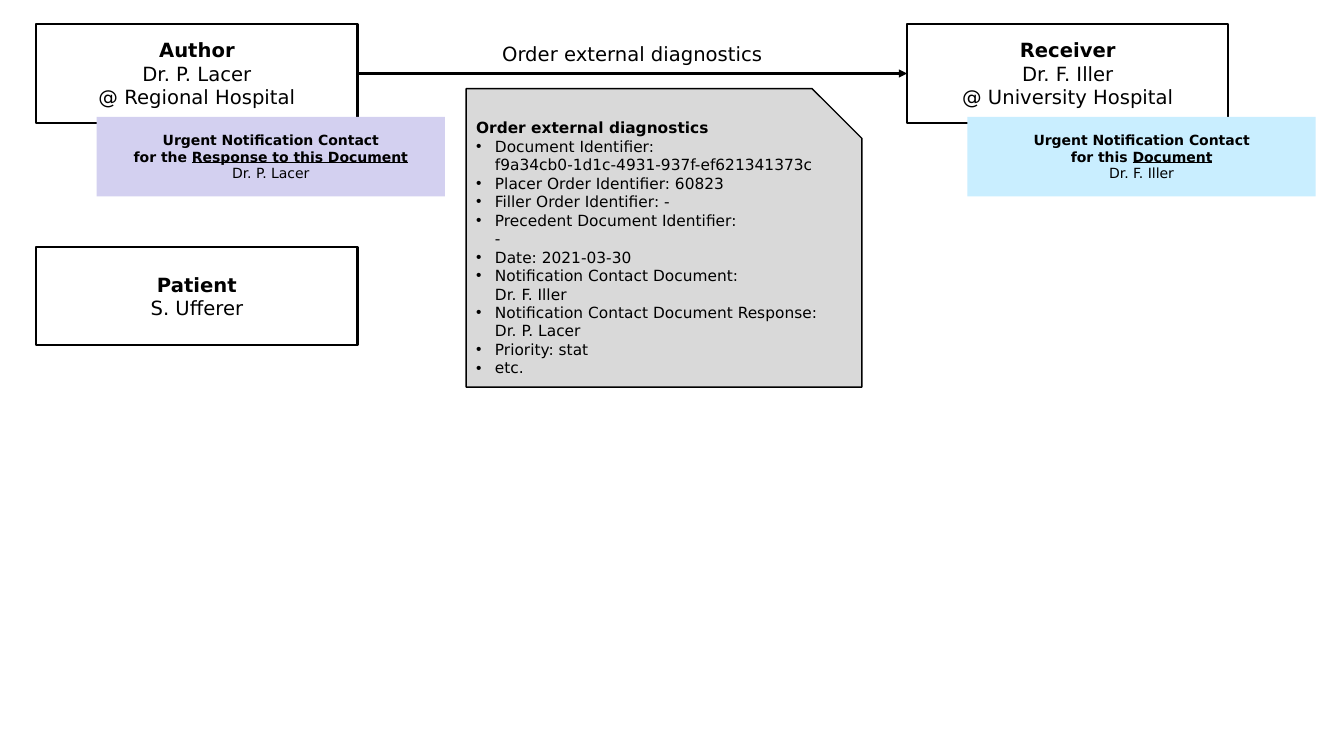
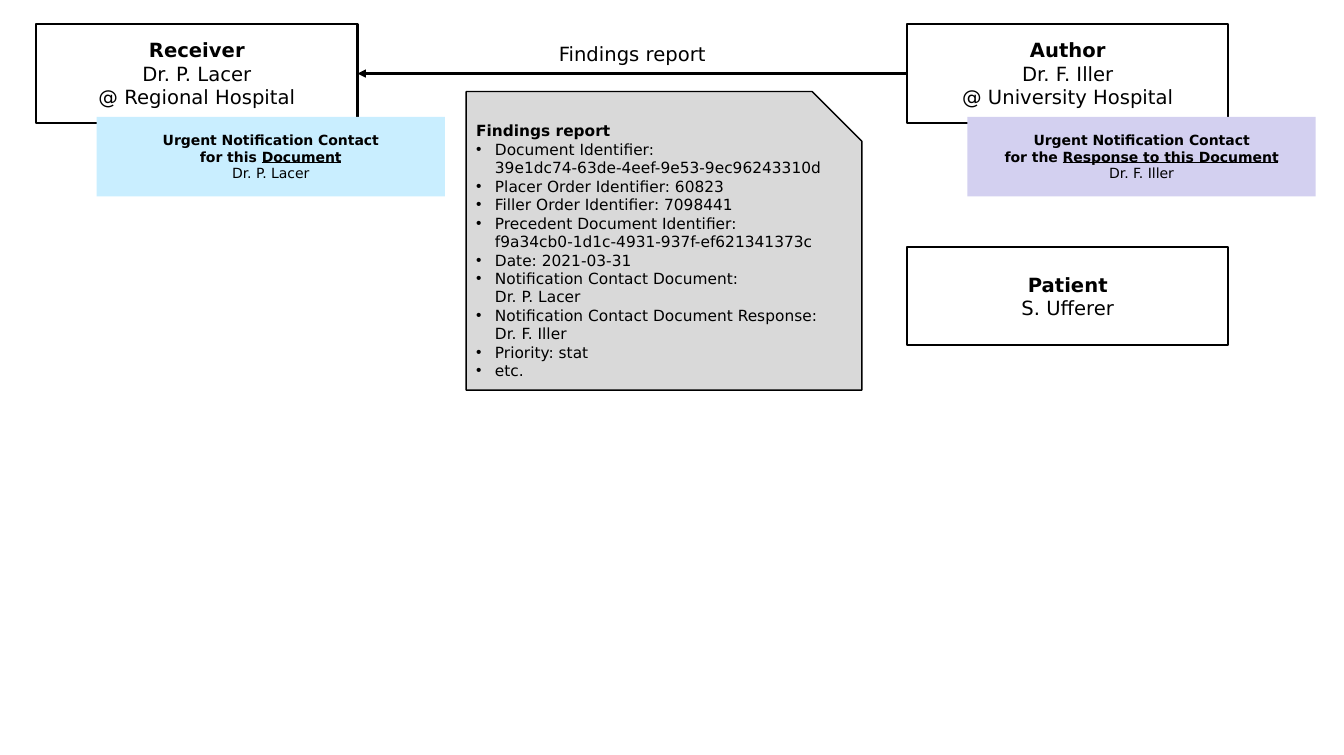
from pptx import Presentation
from pptx.dml.color import RGBColor
from pptx.enum.shapes import MSO_CONNECTOR as Link, MSO_SHAPE as Kind
from pptx.enum.text import MSO_ANCHOR as Anchor, MSO_AUTO_SIZE as Fit, PP_ALIGN as Align
from pptx.oxml.ns import qn
from pptx.util import Pt
from lxml.etree import SubElement as Sub

BLACK = RGBColor(0x00, 0x00, 0x00)
GREY = RGBColor(0xD9, 0xD9, 0xD9)
BLUE = RGBColor(0xC9, 0xEE, 0xFF)
LILAC = RGBColor(0xD3, 0xD0, 0xF0)
FONT = "DejaVu Sans"

LEFT, STEP = 26, 622.8
TOP, WIDE, HIGH = 17.3, 229.7, 70.6
MID = TOP + HIGH / 2

PEOPLE = [("Dr. P. Lacer", "@ Regional Hospital"),
          ("Dr. F. Iller", "@ University Hospital")]

# title, sending side, card top, document id, filler id, precedent id, date
ORDERS = [
    ("Order external diagnostics", 0, 63.4, "f9a34cb0-1d1c-4931-937f-ef621341373c",
     "-", "-", "2021-03-30"),
    ("Findings report", 1, 65.5, "39e1dc74-63de-4eef-9e53-9ec96243310d",
     "7098441", "f9a34cb0-1d1c-4931-937f-ef621341373c", "2021-03-31"),
]


def write(frame, lines, size, align):
    """Each line is a list of (text, marks) runs: b bold, u underlined, * bulleted."""
    frame.word_wrap = True
    for n, line in enumerate(lines):
        para = frame.paragraphs[0] if n == 0 else frame.add_paragraph()
        para.alignment = align
        for text, marks in line:
            if "*" in marks:
                props = para._p.get_or_add_pPr()
                props.set("marL", str(Pt(13.5)))
                props.set("indent", str(Pt(-13.5)))
                Sub(props, qn("a:buFont")).set("typeface", "Arial")
                Sub(props, qn("a:buChar")).set("char", "•")
            for k, part in enumerate(text.split("\n")):
                if k:
                    para.add_line_break()
                run = para.add_run()
                run.text = part
                font = run.font
                font.name, font.size = FONT, Pt(size)
                font.bold, font.underline = "b" in marks, "u" in marks
                font.color.rgb = BLACK


def block(slide, kind, rect, fill, edge, lines, size, align=Align.CENTER, anchor=Anchor.MIDDLE):
    shape = slide.shapes.add_shape(kind, *map(Pt, rect))
    shape.shadow.inherit = False
    if fill is None:
        shape.fill.background()
    else:
        shape.fill.solid()
        shape.fill.fore_color.rgb = fill
    if edge:
        shape.line.color.rgb = BLACK
        shape.line.width = Pt(edge)
    else:
        shape.line.fill.background()
    shape.text_frame.vertical_anchor = anchor
    write(shape.text_frame, lines, size, align)


deck = Presentation()
deck.slide_width, deck.slide_height = Pt(961.2), Pt(540)

for title, side, top, ident, filler, prior, date in ORDERS:
    slide = deck.slides.add_slide(deck.slide_layouts[6])
    sender, target = PEOPLE[side][0], PEOPLE[1 - side][0]

    # Parties and patient
    for n, (name, place) in enumerate(PEOPLE):
        role = "Author" if n == side else "Receiver"
        block(slide, Kind.RECTANGLE, (LEFT + n * STEP, TOP, WIDE, HIGH), None, 1.5,
              [[(role, "b")], [(name, "")], [(place, "")]], 14)
    block(slide, Kind.RECTANGLE, (LEFT + side * STEP, 176.4, WIDE, HIGH), None, 1.5,
          [[("Patient", "b")], [("S. Ufferer", "")]], 14)

    # Arrow from sender to target, with its label
    ends = [LEFT + WIDE, LEFT + STEP]
    arrow = slide.shapes.add_connector(
        Link.STRAIGHT, Pt(ends[side]), Pt(MID), Pt(ends[1 - side]), Pt(MID))
    arrow.line.color.rgb = BLACK
    arrow.line.width = Pt(1.5)
    Sub(arrow.line._get_or_add_ln(), qn("a:tailEnd")).set("type", "triangle")
    Sub(arrow._element.spPr, qn("a:effectLst"))

    label = slide.shapes.add_textbox(Pt(347.8), Pt(30.2), Pt(208.8), Pt(17.3))
    frame = label.text_frame
    frame.margin_left = frame.margin_right = frame.margin_top = frame.margin_bottom = 0
    frame.auto_size = Fit.SHAPE_TO_FIT_TEXT
    write(frame, [[(title, "")]], 14, Align.CENTER)

    # Document card
    items = [
        f"Document Identifier:\n{ident}",
        "Placer Order Identifier: 60823",
        f"Filler Order Identifier: {filler}",
        f"Precedent Document Identifier:\n{prior}",
        f"Date: {date}",
        f"Notification Contact Document:\n{target}",
        f"Notification Contact Document Response:\n{sender}",
        "Priority: stat",
        "etc.",
    ]
    block(slide, Kind.SNIP_1_RECTANGLE, (333.4, top, 283, 213.5), GREY, 1,
          [[(title, "b")]] + [[(item, "*")] for item in items], 11, Align.LEFT, Anchor.TOP)

    # Urgent contacts
    for n, (name, _) in enumerate(PEOPLE):
        fill, lead, topic = ((LILAC, "for the ", "Response to this Document") if n == side
                             else (BLUE, "for this ", "Document"))
        block(slide, Kind.RECTANGLE, (69.1 + n * STEP, 83.5, 249.1, 56.9), fill, 0,
              [[("Urgent Notification Contact", "b")],
               [(lead, "b"), (topic, "bu")], [(name, "")]], 10)

deck.save("out.pptx")
